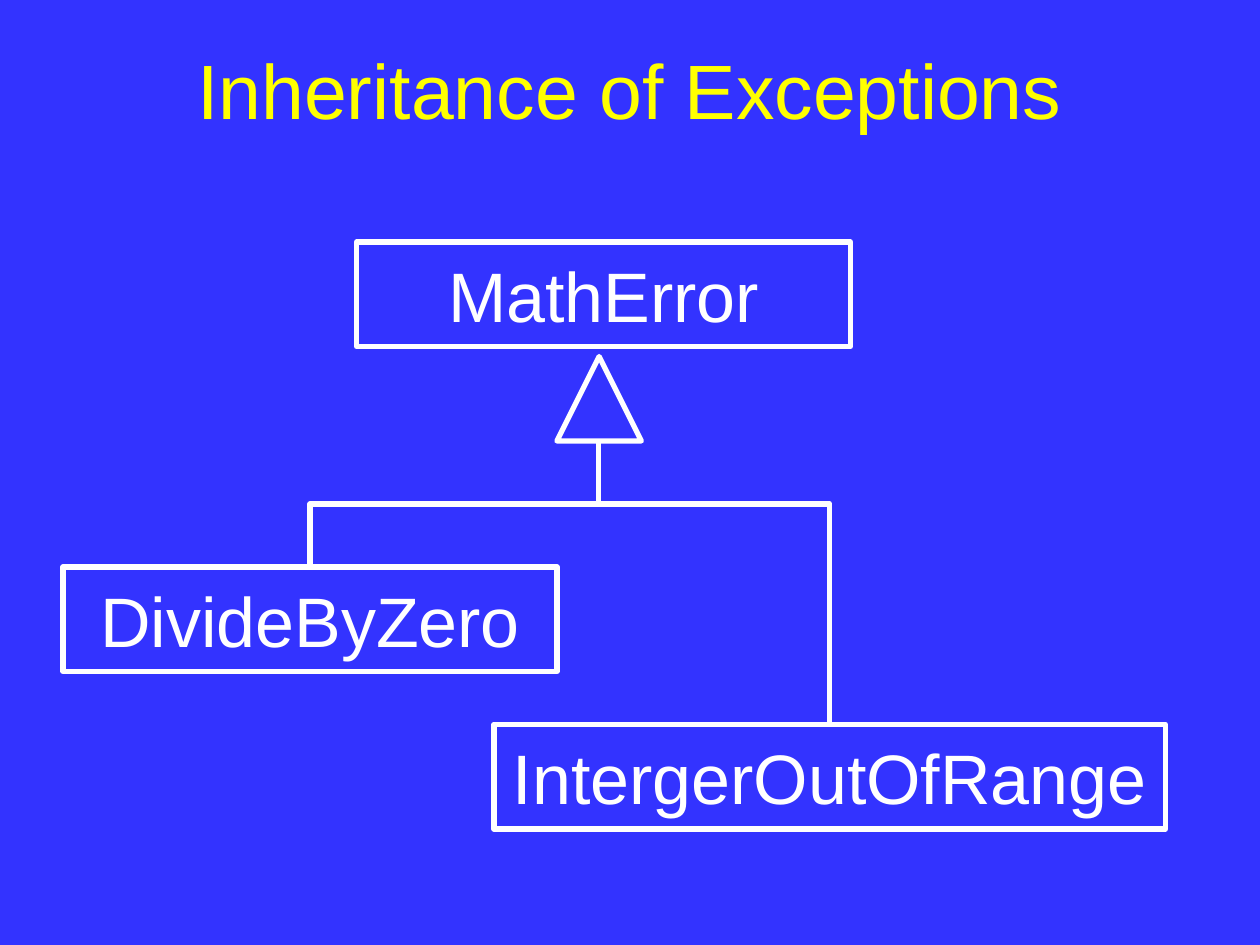
from lxml.etree import SubElement
from pptx import Presentation
from pptx.dml.color import RGBColor
from pptx.enum.shapes import MSO_CONNECTOR, MSO_SHAPE
from pptx.enum.text import MSO_ANCHOR, PP_ALIGN
from pptx.oxml.ns import qn
from pptx.util import Inches, Pt

BLUE, WHITE, YELLOW = "3333FF", "FFFFFF", "FFFF00"
TITLE = "Inheritance of Exceptions"
BOX_HEIGHT = 0.83
PARENT = ("MathError", 2.83, 1.92, 3.92)
CHILDREN = [
    ("DivideByZero", 0.5, 4.5, 3.92),
    ("IntergerOutOfRange", 3.92, 5.75, 5.33),
]
TRIANGLE = (4.42, 2.83, 0.67, 0.67)
JOINT_X, JOINT_Y, BRANCH_Y = 4.75, 3.52, 4


def color(value):
    return RGBColor.from_string(value)


def set_text(sp, text, size, text_color, wrap):
    tf = sp.text_frame
    tf.text = text
    tf.word_wrap = wrap
    tf.vertical_anchor = MSO_ANCHOR.MIDDLE
    p = tf.paragraphs[0]
    p.alignment = PP_ALIGN.CENTER
    font = p.runs[0].font
    font.name, font.size = "Arial", Pt(size)
    font.color.rgb = color(text_color)


def set_line(sp):
    sp.line.color.rgb = color(WHITE)
    sp.line.width = Pt(3)


def add_outline(s, kind, *at):
    sp = s.shapes.add_shape(kind, *map(Inches, at))
    sp.shadow.inherit = False
    sp.fill.background()
    set_line(sp)
    return sp


def add_class(s, name, left, top, width):
    sp = add_outline(s, MSO_SHAPE.RECTANGLE, left, top, width, BOX_HEIGHT)
    set_text(sp, name, 40, WHITE, False)


def add_branch(s, x, y):
    run, drop = x - JOINT_X, y - JOINT_Y
    mid_x, mid_y = (JOINT_X + x) / 2, (JOINT_Y + y) / 2
    half = drop / 2 if run < 0 else -drop / 2
    ends = (mid_x - half, mid_y - abs(run) / 2, mid_x + half, mid_y + abs(run) / 2)
    c = s.shapes.add_connector(MSO_CONNECTOR.ELBOW, *map(Inches, ends))
    set_line(c)
    pr = c._element.spPr
    pr.xfrm.set("rot", str((90 if run < 0 else 270) * 60000))
    guides = pr.find(qn("a:prstGeom")).get_or_add_avLst()
    bend = round((BRANCH_Y - JOINT_Y) / drop * 100000)
    SubElement(guides, qn("a:gd"), name="adj1", fmla=f"val {bend}")
    SubElement(pr, qn("a:effectLst"))


def main():
    prs = Presentation()
    prs.slide_width, prs.slide_height = Inches(10), Inches(7.5)
    s = prs.slides.add_slide(prs.slide_layouts[6])
    s.background.fill.solid()
    s.background.fill.fore_color.rgb = color(BLUE)

    title = s.shapes.add_textbox(*map(Inches, (0.5, 0.08, 9, 1.25)))
    set_text(title, TITLE, 44, YELLOW, True)
    for item in [PARENT, *CHILDREN]:
        add_class(s, *item)
    add_outline(s, MSO_SHAPE.ISOSCELES_TRIANGLE, *TRIANGLE)
    for _, left, top, width in CHILDREN:
        add_branch(s, left + width / 2, top - 0.02)

    prs.save("out.pptx")


if __name__ == "__main__":
    main()
